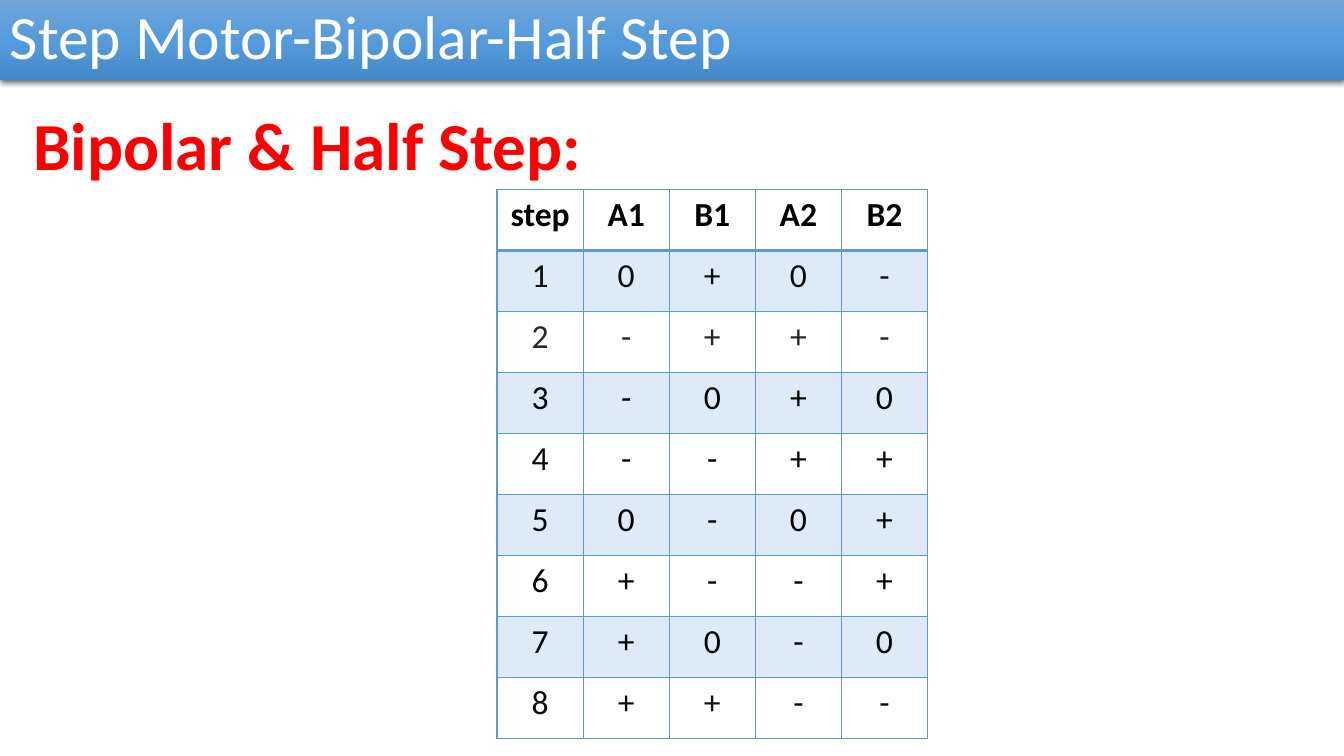
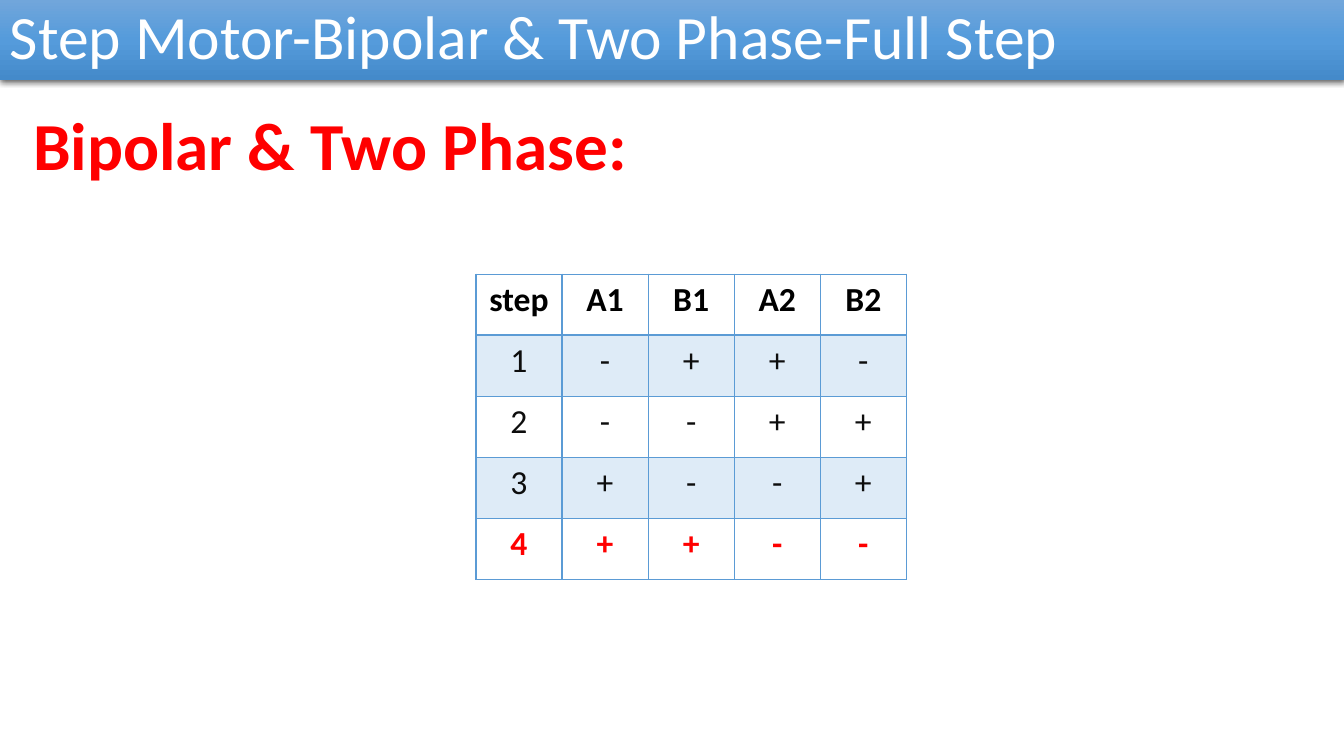
from lxml.etree import SubElement
from pptx import Presentation
from pptx.dml.color import RGBColor
from pptx.enum.shapes import MSO_SHAPE
from pptx.enum.text import MSO_ANCHOR, MSO_AUTO_SIZE, PP_ALIGN
from pptx.oxml import parse_xml
from pptx.oxml.ns import nsdecls, qn
from pptx.util import Inches, Pt

# Shared style
FONT = "Calibri"
WHITE, BLACK, RED = "FFFFFF", "000000", "FF0000"
DARK, SOFT = "0D0D0D", "262626"
BORDER, BAND = "5B9BD5", "DEEBF7"
TITLE_GRADIENT = [(0, "71A6DB"), (50, "559BDB"), (100, "448ACA")]
HEADER = ["step", "A1", "B1", "A2", "B2"]

# Each table row: coil signs for A1, B1, A2, B2 and the text colour
SLIDES = [
    {
        "title": "Step Motor-Bipolar-Half Step",
        "heading": "Bipolar & Half Step:", "heading_width": 5.85,
        "left": 4.93, "top": 1.88, "height": 5.45,
        "rows": [("0+0-", DARK), ("-++-", SOFT), ("-0+0", BLACK), ("--++", BLACK),
                 ("0-0+", BLACK), ("+--+", BLACK), ("+0-0", BLACK), ("++--", DARK)],
    },
    {
        "title": "Step Motor-Bipolar & Two Phase-Full Step",
        "heading": "Bipolar & Two Phase:", "heading_width": 6.3,
        "left": 4.72, "top": 2.72, "height": 3.03,
        "rows": [("-++-", DARK), ("--++", DARK), ("+--+", DARK), ("++--", RED)],
    },
]


def add_run(p, text, size, color, bold=False):
    r = p.add_run()
    r.text = text
    r.font.name = FONT
    r.font.size = Pt(size)
    r.font.bold = bold
    r.font.color.rgb = RGBColor.from_string(color)


def set_borders(cell, top, bottom):
    widths = {"lnL": 1, "lnR": 1, "lnT": top, "lnB": bottom}
    tc_pr = cell._tc.get_or_add_tcPr()
    for i, (side, width) in enumerate(widths.items()):
        tc_pr.insert(i, parse_xml(
            f'<a:{side} {nsdecls("a")} w="{Pt(width)}"><a:solidFill>'
            f'<a:srgbClr val="{BORDER}"/></a:solidFill></a:{side}>'))


prs = Presentation()
prs.slide_width, prs.slide_height = Inches(13.33), Inches(7.5)

for data in SLIDES:
    s = prs.slides.add_slide(prs.slide_layouts[6])

    # Title band with gradient and shadow
    sp = s.shapes.add_shape(MSO_SHAPE.RECTANGLE, 0, 0, prs.slide_width, Inches(0.79))
    sp.line.fill.background()
    sp.shadow.inherit = False
    sp_pr = sp._element.spPr
    stops = "".join(f'<a:gs pos="{pos * 1000}"><a:srgbClr val="{color}"/></a:gs>'
                    for pos, color in TITLE_GRADIENT)
    sp_pr.find(qn("a:ln")).addprevious(parse_xml(
        f'<a:gradFill {nsdecls("a")} rotWithShape="1"><a:gsLst>{stops}</a:gsLst>'
        '<a:lin ang="5400000" scaled="0"/></a:gradFill>'))
    shadow = SubElement(sp_pr.find(qn("a:effectLst")), qn("a:outerShdw"),
                        blurRad=str(Pt(4.5)), dist=str(Pt(1.5)), dir="5400000",
                        algn="ctr", rotWithShape="0")
    shadow_color = SubElement(shadow, qn("a:srgbClr"), val=BLACK)
    SubElement(shadow_color, qn("a:alpha"), val="63000")
    tf = sp.text_frame
    tf.word_wrap = True
    tf.vertical_anchor = MSO_ANCHOR.MIDDLE
    p = tf.paragraphs[0]
    p.alignment = PP_ALIGN.LEFT
    p.line_spacing = 0.9
    add_run(p, data["title"], 44, WHITE)

    # Red heading
    tb = s.shapes.add_textbox(Inches(0.23), Inches(0.98),
                              Inches(data["heading_width"]), Inches(0.91))
    tf = tb.text_frame
    tf.word_wrap = False
    tf.auto_size = MSO_AUTO_SIZE.SHAPE_TO_FIT_TEXT
    add_run(tf.paragraphs[0], data["heading"], 48, RED, bold=True)

    # Step table
    rows = [(HEADER, BLACK)]
    rows += [([str(n), *signs], color) for n, (signs, color) in enumerate(data["rows"], 1)]
    table = s.shapes.add_table(len(rows), len(HEADER), Inches(data["left"]),
                               Inches(data["top"]), Inches(4.27),
                               Inches(data["height"])).table
    table.first_row = table.horz_banding = False
    for i, (texts, color) in enumerate(rows):
        for j, text in enumerate(texts):
            cell = table.cell(i, j)
            if i % 2:
                cell.fill.solid()
                cell.fill.fore_color.rgb = RGBColor.from_string(BAND)
            else:
                cell.fill.background()
            set_borders(cell, top=2 if i == 1 else 1, bottom=2 if i == 0 else 1)
            p = cell.text_frame.paragraphs[0]
            p.alignment = PP_ALIGN.CENTER
            add_run(p, text, 24, color, bold=i == 0 or color == RED)

prs.save("out.pptx")
